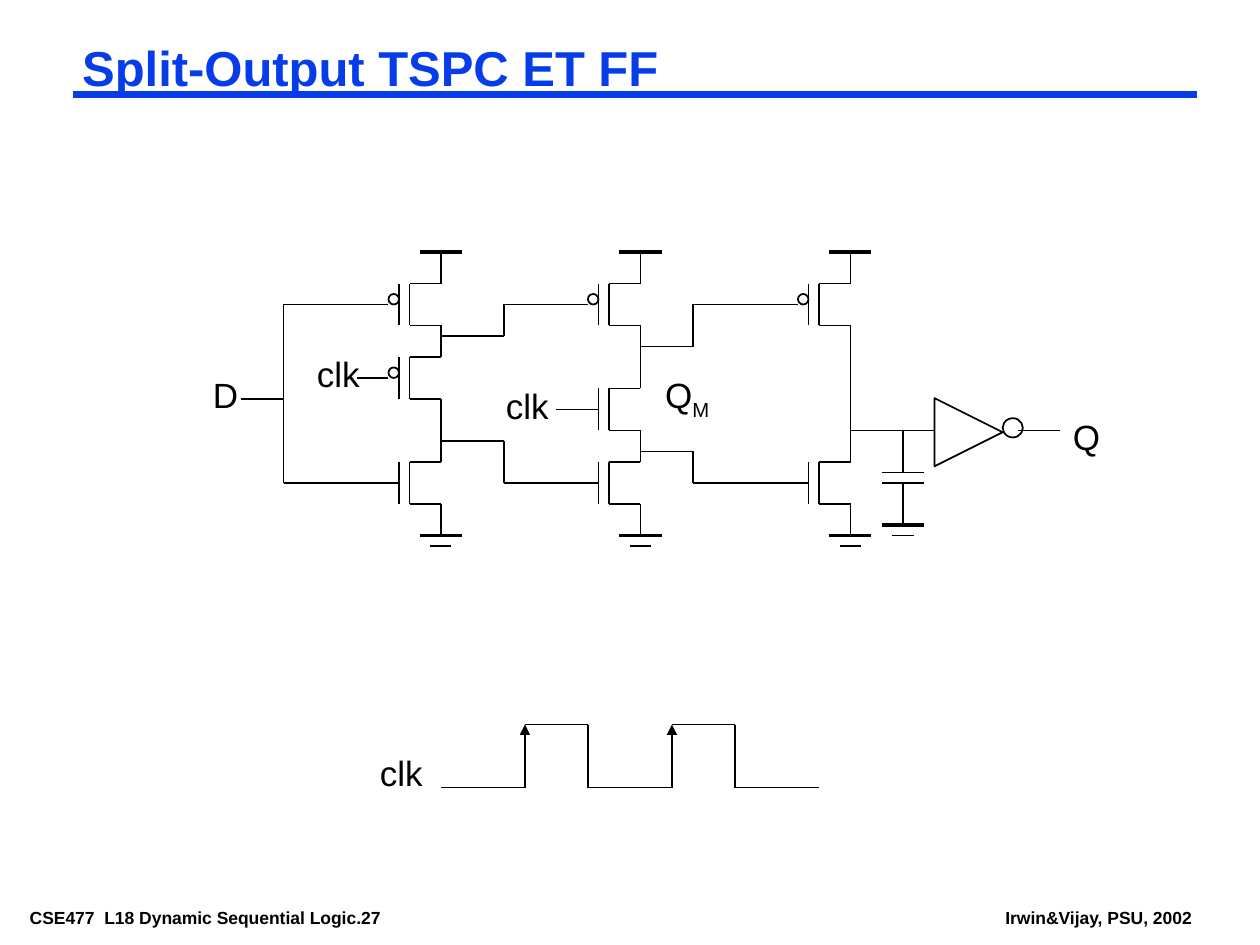
from itertools import pairwise

from lxml import etree
from pptx import Presentation
from pptx.dml.color import RGBColor
from pptx.enum.shapes import MSO_CONNECTOR, MSO_SHAPE
from pptx.enum.text import MSO_ANCHOR, MSO_AUTO_SIZE, PP_ALIGN
from pptx.oxml.ns import qn
from pptx.util import Pt

STRAIGHT = MSO_CONNECTOR.STRAIGHT
TRIANGLE, OVAL = MSO_SHAPE.ISOSCELES_TRIANGLE, MSO_SHAPE.OVAL
TOP, LEFT, NO_AUTOSIZE = MSO_ANCHOR.TOP, PP_ALIGN.LEFT, MSO_AUTO_SIZE.NONE
TITLE_ONLY = 5

BLACK = RGBColor(0x00, 0x00, 0x00)
BLUE = RGBColor(0x06, 0x3D, 0xE8)
FONT = "Arial"
THIN, THICK = 1, 2.25
STUB, CHANNEL = 18, 24


def add_line(shapes, start, end, width=THIN, color=BLACK, arrow=False):
    line = shapes.add_connector(STRAIGHT, *(Pt(value) for value in (*start, *end)))
    line.line.color.rgb = color
    line.line.width = Pt(width)
    if arrow:
        etree.SubElement(line.line._get_or_add_ln(), qn("a:tailEnd"), type="triangle")
    etree.SubElement(line._element.spPr, qn("a:effectLst"))


def add_wire(shapes, left, top, points):
    for (x1, y1), (x2, y2) in pairwise(points):
        add_line(shapes, (left + x1, top + y1), (left + x2, top + y2))


def add_outline(shapes, kind, left, top, width, height):
    shape = shapes.add_shape(kind, Pt(left), Pt(top), Pt(width), Pt(height))
    shape.shadow.inherit = False
    shape.fill.background()
    shape.line.color.rgb = BLACK
    shape.line.width = Pt(THIN)
    return shape


def add_run(paragraph, text, size, color=BLACK, bold=False, subscript=False):
    run = paragraph.add_run()
    run.text = text
    run.font.name = FONT
    run.font.size = Pt(size)
    run.font.bold = bold
    run.font.color.rgb = color
    if subscript:
        run._r.get_or_add_rPr().set("baseline", "-25000")


def set_frame(frame, side, edge, wrap):
    frame.auto_size = NO_AUTOSIZE
    frame.word_wrap = wrap
    frame.vertical_anchor = TOP
    frame.margin_left = frame.margin_right = Pt(side)
    frame.margin_top = frame.margin_bottom = Pt(edge)


def add_label(shapes, left, top, width, text, subscript=""):
    box = shapes.add_textbox(Pt(left), Pt(top), Pt(width), Pt(31.5))
    set_frame(box.text_frame, 7.2, 3.6, False)
    paragraph = box.text_frame.paragraphs[0]
    add_run(paragraph, text, 20)
    if subscript:
        add_run(paragraph, subscript, 20, subscript=True)


def draw_title(slide, left, top, width, height):
    title = slide.shapes.title
    title.left, title.top = Pt(left), Pt(top)
    title.width, title.height = Pt(width), Pt(height)
    set_frame(title.text_frame, 5, 2.25, True)
    paragraph = title.text_frame.paragraphs[0]
    paragraph.alignment = LEFT
    paragraph.line_spacing = 0.87
    add_run(paragraph, "Split-Output TSPC ET FF", 28, BLUE, True)
    rule_y = top + 30
    add_line(slide.shapes, (left, rule_y), (left + width, rule_y), 4.5, BLUE)


def draw_footer(slide, left, top, width, height, text):
    box = slide.shapes.add_textbox(Pt(left), Pt(top), Pt(width), Pt(height))
    set_frame(box.text_frame, 5, 2.25, False)
    add_run(box.text_frame.paragraphs[0], text, 10, bold=True)


def draw_transistor(slide, drain, top, p_type, stub_above=True, stub_below=True):
    shapes = slide.shapes.add_group_shape().shapes
    bottom, middle = top + CHANNEL, top + CHANNEL / 2
    gate, channel = drain - 24, drain - 18
    add_wire(shapes, 0, 0, [(drain, top), (channel, top), (channel, bottom), (drain, bottom)])
    add_line(shapes, (gate, top), (gate, bottom))
    if p_type:
        add_outline(shapes, OVAL, gate - 6, top + 6, 6, 6)
    add_line(shapes, (drain - 48, middle), (gate - 6 if p_type else gate, middle))
    if stub_above:
        add_line(shapes, (drain, top - STUB), (drain, top))
    if stub_below:
        add_line(shapes, (drain, bottom), (drain, bottom + STUB))


def draw_ground(shapes, center, top):
    add_line(shapes, (center - 12, top), (center + 12, top), THICK)
    add_line(shapes, (center - 6, top + 6), (center + 6, top + 6))


def draw_capacitor(slide, center, top):
    shapes = slide.shapes.add_group_shape().shapes
    add_line(shapes, (center, top), (center, top + 24))
    for plate in (top + 24, top + 30):
        add_line(shapes, (center - 12, plate), (center + 12, plate))
    add_line(shapes, (center, top + 30), (center, top + 54))
    draw_ground(shapes, center, top + 54)


def draw_inverter(slide, left, top):
    shapes = slide.shapes.add_group_shape().shapes
    add_outline(shapes, TRIANGLE, left, top, 39, 39).rotation = 90
    add_outline(shapes, OVAL, left + 39, top + 11.5, 11.5, 11)


def draw_circuit(slide, left, top):
    first, second, third = columns = (left + 114, left + 228, left + 348)
    for column in columns:
        add_line(slide.shapes, (column - 12, top), (column + 12, top), THICK)
        draw_ground(slide.shapes.add_group_shape().shapes, column, top + 162)
        draw_transistor(slide, column, top + 18, True, stub_below=column != first)
        draw_transistor(slide, column, top + 120, False, stub_above=column != second)
    draw_transistor(slide, first, top + 60, True)
    draw_transistor(slide, second, top + 78, False)

    wires = [
        [(0, 84), (24, 84)],
        [(72, 30), (24, 30), (24, 132), (72, 132)],
        [(114, 48), (150, 48), (150, 30), (186, 30)],
        [(114, 108), (150, 108), (150, 132), (192, 132)],
        [(228, 54), (258, 54), (258, 30), (306, 30)],
        [(228, 114), (258, 114), (258, 132), (306, 132)],
        [(348, 54), (348, 108)],
        [(348, 102), (396, 102)],
        [(444, 102), (468, 102)],
    ]
    for points in wires:
        add_wire(slide.shapes, left, top, points)
    draw_capacitor(slide, third + 30, top + 102)
    draw_inverter(slide, third + 48, top + 83.5)

    labels = [
        (-23.5, 66, 29, "D"),
        (36, 54, 39, "clk"),
        (144, 72, 39, "clk"),
        (468, 90, 29.5, "Q"),
        (235, 66, 39.5, "Q", "M"),
    ]
    for x, y, *content in labels:
        add_label(slide.shapes, left + x, top + y, *content)


def draw_clock(slide, left, top):
    shapes = slide.shapes.add_group_shape().shapes
    low, high, pulse = top + 36, top, 36
    rises = (left + 48, left + 132)
    start = left
    for rise in rises:
        add_line(shapes, (start, low), (rise, low))
        add_line(shapes, (rise, low), (rise, high), arrow=True)
        start = rise + pulse
        add_wire(shapes, 0, 0, [(rise, high), (start, high), (start, low)])
    add_line(shapes, (start, low), (start + 48, low))
    add_label(shapes, left - 42, top + 12, 39, "clk")


def main():
    presentation = Presentation()
    presentation.slide_width, presentation.slide_height = Pt(720), Pt(540)
    slide = presentation.slides.add_slide(presentation.slide_layouts[TITLE_ONLY])
    draw_footer(slide, 12, 516, 248, 16, "CSE477  L18 Dynamic Sequential Logic.27")
    draw_footer(slide, 569.5, 516, 117.5, 16, "Irwin&Vijay, PSU, 2002")
    draw_title(slide, 42, 24, 642, 33)
    draw_circuit(slide, 138, 144)
    draw_clock(slide, 252, 414)
    presentation.save("out.pptx")


if __name__ == "__main__":
    main()
